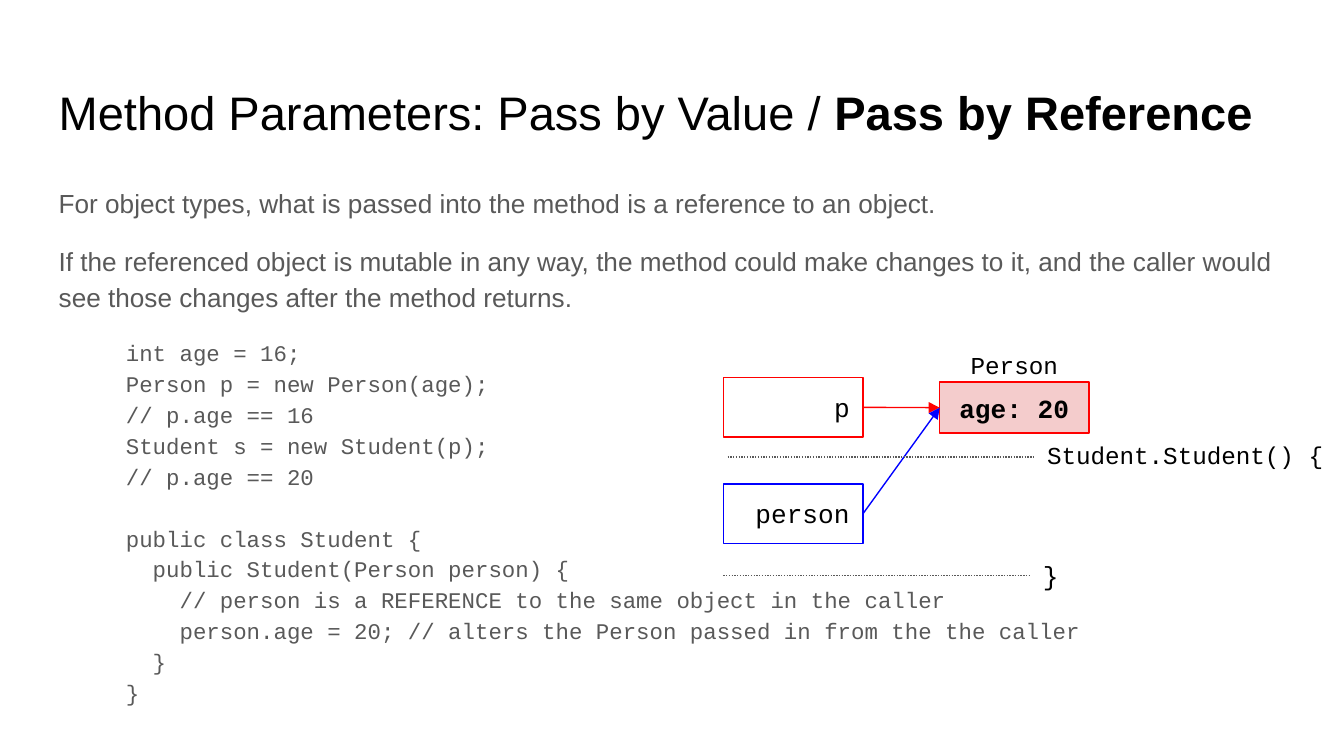
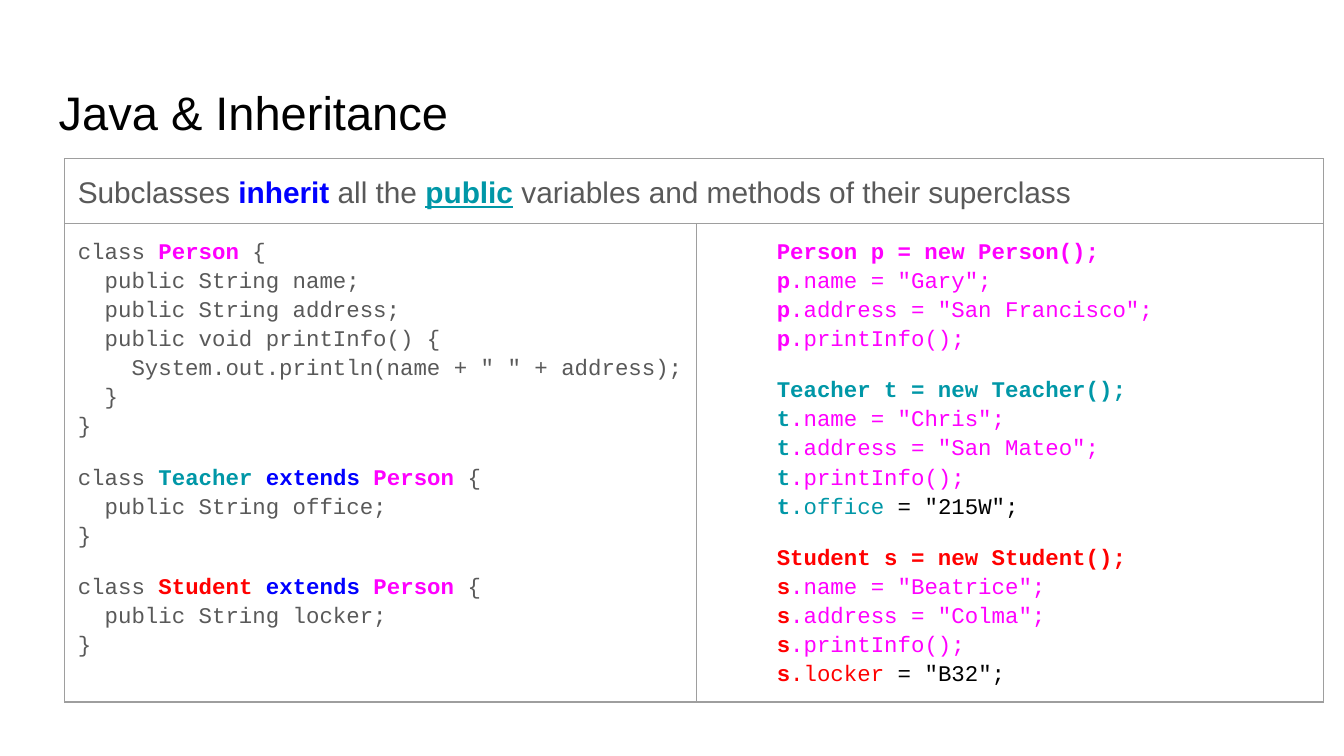
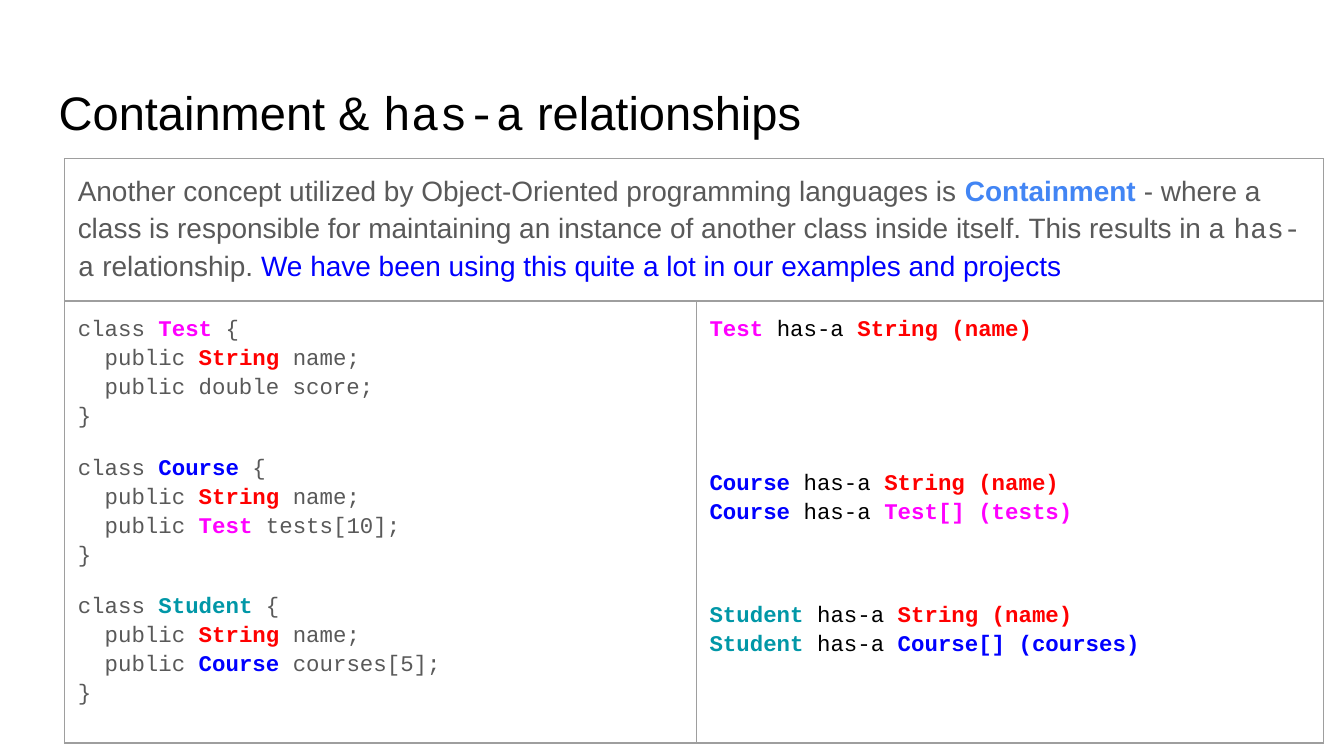
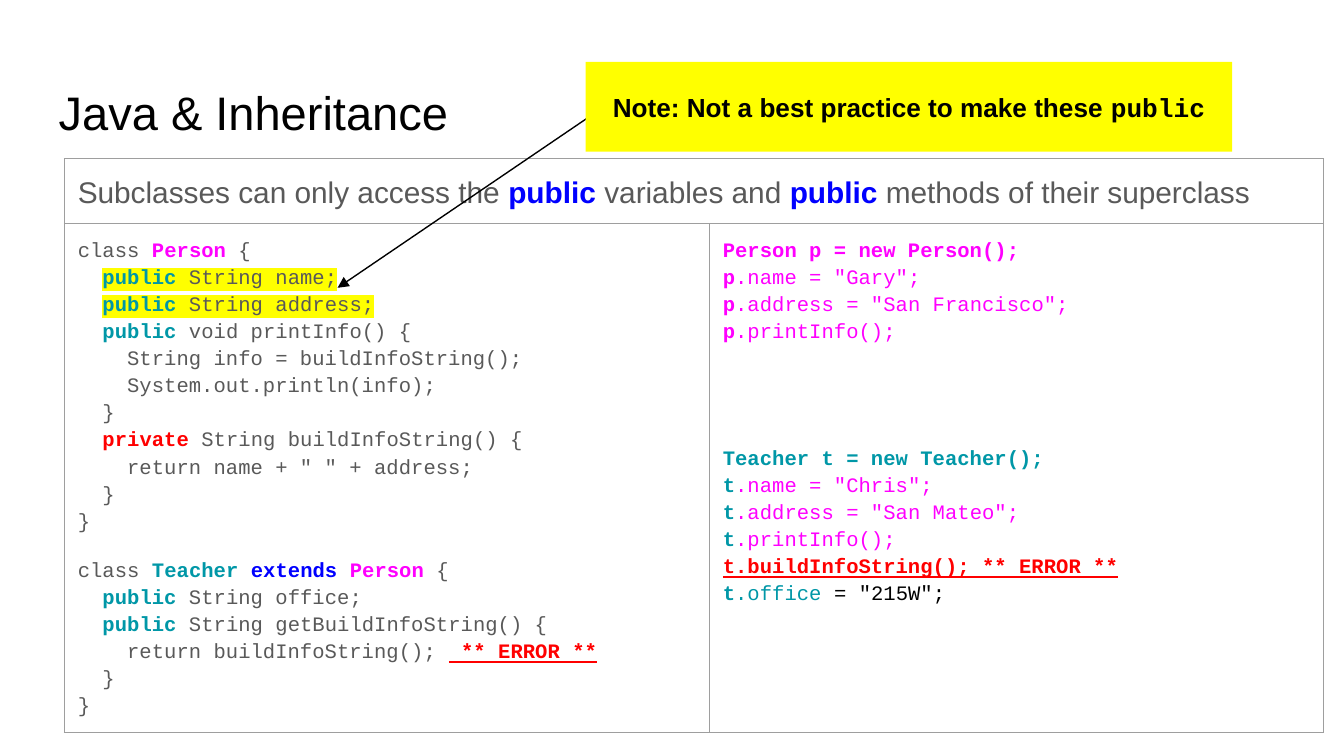
import copy
import dataclasses

import lxml.etree
import pptx
import pptx.dml.color
import pptx.enum.dml
import pptx.enum.shapes
import pptx.enum.text
import pptx.oxml.ns
import pptx.util

Cm = pptx.util.Cm
Pt = pptx.util.Pt
Align = pptx.enum.text.PP_ALIGN
Anchor = pptx.enum.text.MSO_ANCHOR

COLOURS = {
    "black": "000000",
    "grey": "595959",
    "red": "FF0000",
    "blue": "0000FF",
    "pink": "FF00FF",
    "teal": "0097A7",
    "sky": "4285F4",
    "blush": "F4CCCC",
    "yellow": "FFFF00",
    "rule": "9E9E9E",
}
SANS, MONO = "Arial", "Courier New"
LINE_WIDTH = Pt(0.75)
INSET = Cm(0.25)
TITLE_BOX = (0.86, 1.24, 23.67, 1.6)
TABLE_CORNER = (1.22, 3.0)


@dataclasses.dataclass
class Style:
    """Base look of a paragraph."""

    size: float
    font: str = SANS
    colour: str = "black"
    bold: bool = False
    spacing: float = 1.0
    gap: float = 12
    indent: float = 0
    align: object = Align.LEFT


TITLE = Style(25.2)
BODY = Style(14, colour="grey", spacing=1.15)
CODE = Style(12, MONO, "grey", spacing=1.15)
USAGE = dataclasses.replace(CODE, colour="black")


def rgb(name):
    """Return the named colour."""
    return pptx.dml.color.RGBColor.from_string(COLOURS[name])


def sub_element(parent, tag, **attributes):
    """Append a drawing element to its parent."""
    return lxml.etree.SubElement(parent, pptx.oxml.ns.qn(tag), attributes)


def format_span(span, style, words):
    """Apply the base style and the words of a mark to a run."""
    colour = next((word for word in words if word in COLOURS), style.colour)
    font = span.font
    font.size = Pt(style.size)
    font.name = MONO if "mono" in words else style.font
    font.bold = style.bold or "bold" in words
    font.underline = "under" in words
    font.color.rgb = rgb(colour)
    if "marked" in words:
        properties = span._r.get_or_add_rPr()
        highlight = sub_element(properties, "a:highlight")
        sub_element(highlight, "a:srgbClr", val=COLOURS["yellow"])
        properties.find(pptx.oxml.ns.qn("a:latin")).addprevious(highlight)


def write_paragraph(para, markup, style, gap):
    """Write text in which |words:text| marks a styled part."""
    para.alignment = style.align
    para.line_spacing = style.spacing
    para.space_before = Pt(gap)
    if style.indent:
        properties = para._p.get_or_add_pPr()
        properties.set("marL", str(int(Cm(style.indent))))
        properties.set("indent", "0")
    for number, part in enumerate(markup.split("|")):
        words, text = [], part
        if number % 2:
            mark, _, text = part.partition(":")
            words = mark.split()
        if not text:
            continue
        pieces = text.split("\n")
        for index, piece in enumerate(pieces):
            span = para.add_run()
            span.text = piece
            format_span(span, style, words)
            if index < len(pieces) - 1:
                para.add_line_break()
                para._p[-1].append(copy.deepcopy(span._r.rPr))
            if not piece:
                para._p.remove(span._r)


def write(frame, paragraphs):
    """Fill a text frame with (markup, style) paragraphs."""
    frame.word_wrap = True
    for index, (markup, style) in enumerate(paragraphs):
        para = frame.add_paragraph() if index else frame.paragraphs[0]
        write_paragraph(para, markup, style, style.gap if index else 0)


def set_insets(frame, top=INSET):
    """Give a frame its inner margins."""
    frame.margin_left = frame.margin_right = frame.margin_bottom = INSET
    frame.margin_top = top


def add_text(page, box, paragraphs, top_inset=INSET):
    """Add a text box."""
    frame = page.shapes.add_textbox(*map(Cm, box)).text_frame
    set_insets(frame, top_inset)
    write(frame, paragraphs)


def add_box(page, box, markup, style, fill=None, line=None, anchor=Anchor.TOP):
    """Add a rectangle holding one paragraph."""
    shape = page.shapes.add_shape(
        pptx.enum.shapes.MSO_SHAPE.RECTANGLE, *map(Cm, box))
    shape.shadow.inherit = False
    if fill:
        shape.fill.solid()
        shape.fill.fore_color.rgb = rgb(fill)
    else:
        shape.fill.background()
    if line:
        shape.line.color.rgb = rgb(line)
        shape.line.width = LINE_WIDTH
    else:
        shape.line.fill.background()
    set_insets(shape.text_frame)
    shape.text_frame.vertical_anchor = anchor
    write(shape.text_frame, [(markup, style)])
    return shape


def add_line(page, start, end, colour, arrow=False):
    """Add a straight arrow, or a dotted line without a head."""
    line = page.shapes.add_connector(
        pptx.enum.shapes.MSO_CONNECTOR.STRAIGHT, *map(Cm, start + end))
    line.line.color.rgb = rgb(colour)
    line.line.width = LINE_WIDTH
    if arrow:
        sub_element(line.line._get_or_add_ln(), "a:tailEnd", type="triangle")
    else:
        line.line.dash_style = pptx.enum.dml.MSO_LINE.ROUND_DOT
    sub_element(line._element.spPr, "a:effectLst")
    return line


def add_title(page, markup):
    """Add the slide title."""
    add_text(page, TITLE_BOX, [(markup, TITLE)], Cm(0.33))


def border_cell(cell):
    """Clear the fill of a cell and rule its four sides."""
    cell.fill.background()
    properties = cell._tc.get_or_add_tcPr()
    for position, side in enumerate("LRTB"):
        edge = sub_element(properties, f"a:ln{side}", w=str(int(LINE_WIDTH)))
        fill = sub_element(edge, "a:solidFill")
        sub_element(fill, "a:srgbClr", val=COLOURS["rule"])
        properties.insert(position, edge)


def add_lesson_table(page, corner, widths, heights, heading, code, usage):
    """Add a table with a heading over a code cell and a usage cell."""
    table = page.shapes.add_table(
        len(heights), len(widths), *map(Cm, corner),
        Cm(sum(widths)), Cm(sum(heights))).table
    table.first_row = table.horz_banding = False
    for column, width in zip(table.columns, widths):
        column.width = Cm(width)
    for row, height in zip(table.rows, heights):
        row.height = Cm(height)
    for cell in table.iter_cells():
        set_insets(cell)
        border_cell(cell)
    table.cell(0, 0).merge(table.cell(0, 1))
    last = len(heights) - 1
    if last > 1:
        for column in range(2):
            table.cell(1, column).merge(table.cell(last, column))
    write(table.cell(0, 0).text_frame, [heading])
    write(table.cell(1, 0).text_frame, code)
    write(table.cell(1, 1).text_frame, usage)


def own_field(variable, colour, field, value):
    """Return a line that sets a field of the subclass."""
    return f'\n|{colour} bold:{variable}||{colour}:.{field}| = "{value}";'


def usage_code(kind, colour, name, address, extra=""):
    """Return marked code that makes and uses an object."""
    variable = kind[0].lower()
    members = [f'name = "{name}";', f'address = "{address}";', "printInfo();"]
    lines = [f"|{colour} bold:{kind} {variable} = new {kind}();|"]
    lines += [f"|{colour} bold:{variable}||pink:.{member}|" for member in members]
    return "\n".join(lines) + extra


def class_code(name, colour, fields, extends=False):
    """Return marked code that declares a class with public fields."""
    parent = "|blue bold:extends| |pink bold:Person| " if extends else ""
    body = "".join(f"  public {field};\n" for field in fields)
    return f"class |{colour} bold:{name}| {parent}{{\n{body}}}"


def draw_reference_diagram(page, left, top):
    """Draw two variables that refer to one object."""
    label = Style(13, MONO)
    value = Style(14, MONO)
    right = dataclasses.replace(value, align=Align.RIGHT)
    centre = dataclasses.replace(value, align=Align.CENTER, bold=True)
    object_left = left + 4.09
    target = add_box(page, (object_left, top + 0.84, 2.82, 0.97), "age: 20",
                     centre, "blush", "red", Anchor.MIDDLE)
    add_text(page, (object_left, top, 2.82, 0.79),
             [("Person", dataclasses.replace(label, align=Align.CENTER))])
    for name, colour, offset in (("p", "red", 0.76), ("person", "blue", 2.77)):
        variable = add_box(page, (left, top + offset, 2.64, 1.12), name,
                           right, line=colour)
        arrow = add_line(page, (left + 2.64, top + offset + 0.56),
                         (object_left, top + 1.32), colour, arrow=True)
        arrow.begin_connect(variable, 3)
        arrow.end_connect(target, 1)
    scopes = (("Student.Student() {", label, 0.08, 2.26),
              ("}", value, 0, 4.5))
    for text, style, shift, offset in scopes:
        start, end = left + shift, left + shift + 5.79
        add_line(page, (start, top + offset), (end, top + offset), "grey")
        add_text(page, (end, top + offset - 0.56, 5.79, 1.1), [(text, style)])


def build_parameters(page):
    """Build the slide on passing by reference."""
    add_title(page, "Method Parameters: Pass by Value / |bold:Pass by Reference|")
    code = """int age = 16;
Person p = new Person(age);
// p.age == 16
Student s = new Student(p);
// p.age == 20

public class Student {
  public Student(Person person) {
    // person is a REFERENCE to the same object in the caller
    person.age = 20; // alters the Person passed in from the the caller
  }
}"""
    add_text(page, (0.86, 3.2, 23.67, 9.5), [
        ("For object types, what is passed into the method is a reference "
         "to an object.", BODY),
        ("If the referenced object is mutable in any way, the method could "
         "make changes to it, and the caller would see those changes after "
         "the method returns.", BODY),
        (code, dataclasses.replace(CODE, indent=1.27)),
    ])
    draw_reference_diagram(page, 13.67, 6.38)


def build_inheritance(page):
    """Build the slide on inherited members."""
    heading = ("Subclasses |blue bold:inherit| all the |teal bold under:public| "
               "variables and methods of their superclass")
    person = """class |pink bold:Person| {
  public String name;
  public String address;
  public void printInfo() {
    System.out.println(name + " " + address);
  }
}"""
    code = [person,
            class_code("Teacher", "teal", ["String office"], True),
            class_code("Student", "red", ["String locker"], True)]
    usage = [usage_code("Person", "pink", "Gary", "San Francisco"),
             usage_code("Teacher", "teal", "Chris", "San Mateo",
                        own_field("t", "teal", "office", "215W")),
             usage_code("Student", "red", "Beatrice", "Colma",
                        own_field("s", "red", "locker", "B32"))]
    indented = dataclasses.replace(USAGE, indent=1.27)
    add_lesson_table(page, TABLE_CORNER, (11.94, 11.86), (1.23, 9.04),
                     (heading, dataclasses.replace(BODY, size=16)),
                     [(text, CODE) for text in code],
                     [(text, indented) for text in usage])
    add_title(page, "Java & Inheritance")


def build_containment(page):
    """Build the slide on has-a relationships."""
    add_title(page, "Containment & |mono:has-a| relationships")
    heading = ("Another concept utilized by Object-Oriented programming "
               "languages is |sky bold:Containment| - where a class is "
               "responsible for maintaining an instance of another class "
               "inside itself. This results in a |mono:has-a| relationship. "
               "|blue:We have been using this quite a lot in our examples "
               "and projects|")
    name = "|red bold:String| name"
    code = [
        class_code("Test", "pink", [name, "double score"]),
        class_code("Course", "blue", [name, "|pink bold:Test| tests[10]"]),
        class_code("Student", "teal", [name, "|blue bold:Course| courses[5]"]),
    ]
    relations = [
        ("Test", "pink", "", 0),
        ("Course", "blue", "|pink bold:Test[] (tests)|", 67),
        ("Student", "teal", "|blue bold:Course[] (courses)|", 39.5),
    ]
    usage = []
    for kind, colour, other, gap in relations:
        owner = f"|{colour} bold:{kind}| has-a "
        parts = ["|red bold:String (name)|"] + ([other] if other else [])
        usage.append(("\n".join(owner + part for part in parts),
                      dataclasses.replace(USAGE, gap=gap)))
    add_lesson_table(page, TABLE_CORNER, (11.94, 11.86),
                     (2.64, 0.91, 0.91, 0.91, 5.21),
                     (heading, dataclasses.replace(BODY, size=15)),
                     [(text, CODE) for text in code], usage)


def build_access(page):
    """Build the slide on access to superclass members."""
    heading = ("Subclasses can only access the |blue bold:public| variables and "
               "|blue bold:public| methods of their superclass")
    person = """class |pink bold:Person| {
  |teal bold marked:public||marked: String name;|
  |teal bold marked:public||marked: String address;|
  |teal bold:public| void printInfo() {
    String info = buildInfoString();
    System.out.println(info);
  }
  |red bold:private| String buildInfoString() {
    return name + " " + address;
  }
}"""
    teacher = """class |teal bold:Teacher| |blue bold:extends| |pink bold:Person| {
  |teal bold:public| String office;
  |teal bold:public| String getBuildInfoString() {
    return buildInfoString(); |red bold under: ** ERROR **|
  }
}"""
    error = "\n|red bold under:t.buildInfoString(); ** ERROR **|"
    usage = [usage_code("Person", "pink", "Gary", "San Francisco"),
             usage_code("Teacher", "teal", "Chris", "San Mateo",
                        error + own_field("t", "teal", "office", "215W"))]
    small = dataclasses.replace(CODE, size=11)
    spread = dataclasses.replace(USAGE, size=11, gap=53.5)
    add_lesson_table(page, TABLE_CORNER, (12.19, 11.61), (1.23, 9.62),
                     (heading, dataclasses.replace(BODY, size=16)),
                     [(person, small), (teacher, small)],
                     [(text, spread) for text in usage])
    add_title(page, "Java & Inheritance")
    add_line(page, (11.25, 2.13), (6.38, 5.44), "black", arrow=True)
    add_box(page, (11.07, 1.17, 12.22, 1.7),
            "Note: Not a best practice to make these |mono:public|",
            Style(14, bold=True, align=Align.CENTER), fill="yellow",
            anchor=Anchor.MIDDLE)


def main():
    """Build and save the deck."""
    deck = pptx.Presentation()
    deck.slide_width, deck.slide_height = Cm(25.4), Cm(14.29)
    for build in (build_parameters, build_inheritance,
                  build_containment, build_access):
        build(deck.slides.add_slide(deck.slide_layouts[6]))
    deck.save("out.pptx")


if __name__ == "__main__":
    main()
